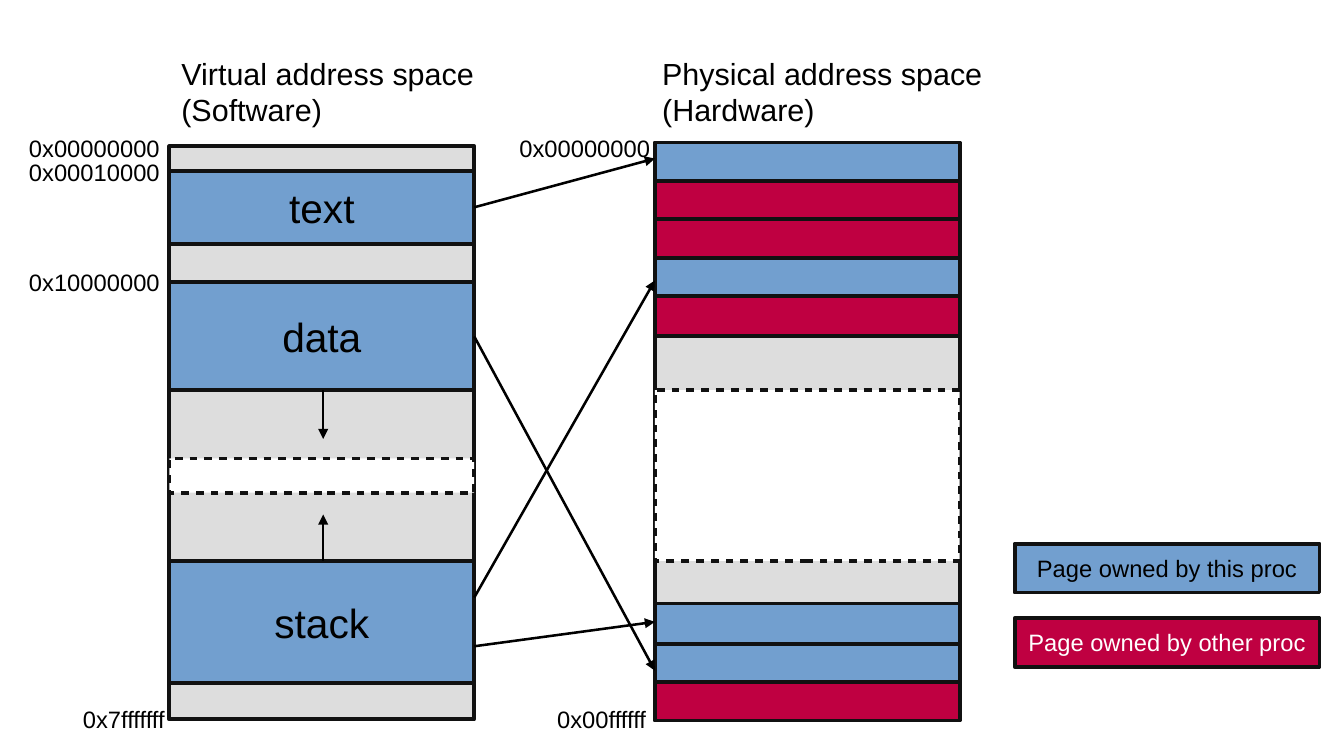
from typing import NamedTuple

from lxml.etree import SubElement
from pptx import Presentation
from pptx.dml.color import RGBColor as RGB
from pptx.enum.shapes import MSO_CONNECTOR as CONN, MSO_SHAPE as SHAPE
from pptx.enum.text import MSO_ANCHOR as ANCHOR, PP_ALIGN as ALIGN
from pptx.oxml.ns import qn
from pptx.util import Pt

COLORS = {
    "free": "DDDDDD", "own": "729FCF", "other": "BF0041",
    "gap": "FFFFFF", "edge": "111111", "black": "000000", "white": "FFFFFF",
}
FONT = "Arial"
BLOCK_W = 180
VIRTUAL_X, PHYSICAL_X, LEGEND_X = 100, 386.6, 599
VIRTUAL_RIGHT = VIRTUAL_X + BLOCK_W
GROWTH_X = 190.8
SPACE_Y, SPACE_H = 86.4, 338.4
PAGE_H, PAGE_STEP = 23.7, 22.7
FIRST_PAGE_Y, LAST_PAGE_Y = 84.2, 401.8


class Block(NamedTuple):
    x: float
    y: float
    h: float
    fill: str
    text: str = ""
    size: float = 24
    color: str = "black"
    dashed: bool = False


class Label(NamedTuple):
    x: float
    y: float
    w: float
    text: str
    size: float = 14


class Arrow(NamedTuple):
    x1: float
    y1: float
    x2: float
    y2: float


def rgb(name: str) -> RGB:
    return RGB.from_string(COLORS[name])


def write(tf, text: str, *, size: float, color: str = "black", align=ALIGN.LEFT,
          anchor=ANCHOR.TOP, wrap: bool = True, inset: tuple = (7.2, 3.6)) -> None:
    tf.word_wrap = wrap
    tf.vertical_anchor = anchor
    tf.margin_left = tf.margin_right = Pt(inset[0])
    tf.margin_top = tf.margin_bottom = Pt(inset[1])
    for i, line in enumerate(text.split("\n")):
        p = tf.add_paragraph() if i else tf.paragraphs[0]
        p.alignment = align
        r = p.add_run()
        r.text = line
        r.font.name, r.font.size = FONT, Pt(size)
        r.font.color.rgb = rgb(color)


def draw_block(shapes, b: Block) -> None:
    sp = shapes.add_shape(SHAPE.RECTANGLE, Pt(b.x), Pt(b.y), Pt(BLOCK_W), Pt(b.h))
    sp.shadow.inherit = False
    sp.fill.solid()
    sp.fill.fore_color.rgb = rgb(b.fill)
    sp.line.color.rgb = rgb(b.edge if hasattr(b, "edge") else "edge")
    sp.line.width = Pt(2.3)
    if b.dashed:
        dash = SubElement(sp.line._get_or_add_ln(), qn("a:custDash"))
        SubElement(dash, qn("a:ds"), d="200000", sp="180000")
    if b.text:
        write(sp.text_frame, b.text, size=b.size, color=b.color, align=ALIGN.CENTER,
              anchor=ANCHOR.MIDDLE, wrap=False, inset=(7.9, 4.3))


def draw_label(shapes, t: Label) -> None:
    h = 47.5 if "\n" in t.text else 23
    sp = shapes.add_textbox(Pt(t.x), Pt(t.y), Pt(t.w), Pt(h))
    write(sp.text_frame, t.text, size=t.size)


def draw_arrow(shapes, a: Arrow) -> None:
    sp = shapes.add_connector(CONN.STRAIGHT, Pt(a.x1), Pt(a.y1), Pt(a.x2), Pt(a.y2))
    sp.line.color.rgb = rgb("black")
    sp.line.width = Pt(1.5)
    SubElement(sp.line._get_or_add_ln(), qn("a:tailEnd"), type="triangle")
    SubElement(sp._element.spPr, qn("a:effectLst"))


# Address spaces, from back to front
virtual = [
    Block(VIRTUAL_X, SPACE_Y, SPACE_H, "free"),
    Block(VIRTUAL_X, 100.8, 43.2, "own", "text"),
    Block(VIRTUAL_X, 166.3, 64, "own", "data"),
    Block(VIRTUAL_X, 331.2, 72, "own", "stack"),
    Block(VIRTUAL_X, 270.7, 20.2, "gap", dashed=True),
]
physical = [
    Block(PHYSICAL_X, SPACE_Y, SPACE_H, "free"),
    Block(PHYSICAL_X, 230.4, 100.8, "gap", dashed=True),
]
# Pages run down from the top and up from the bottom
top_pages = [Block(PHYSICAL_X, FIRST_PAGE_Y + i * PAGE_STEP, PAGE_H, owner)
             for i, owner in enumerate(["own", "other", "other", "own", "other"])]
bottom_pages = [Block(PHYSICAL_X, LAST_PAGE_Y - i * PAGE_STEP, PAGE_H, owner)
                for i, owner in enumerate(["other", "own", "own"])]
legend = [
    Block(LEGEND_X, 321.1, 28.8, "own", "Page owned by this proc", 14),
    Block(LEGEND_X, 365, 28.8, "other", "Page owned by other proc", 14, "white"),
]

# Growth directions, then page mappings
arrows = [
    Arrow(GROWTH_X, 230.4, GROWTH_X, 259.2),
    Arrow(GROWTH_X, 331.2, GROWTH_X, 303.8),
] + [Arrow(VIRTUAL_RIGHT, y1, PHYSICAL_X, y2) for y1, y2 in
     [(122.4, 93.6), (198.7, 396), (352.8, 165.6), (381.6, 367.2)]]

# Titles and addresses
labels = [
    Label(100, 28.8, 187.2, "Virtual address space\n(Software)", 18),
    Label(383.8, 28.8, 213.8, "Physical address space\n(Hardware)", 18),
] + [Label(x, y, 97.2, text) for x, y, text in [
    (10, 75.6, "0x00000000"), (10, 89.6, "0x00010000"), (10, 154.8, "0x10000000"),
    (41.8, 412.6, "0x7fffffff"),
    (299.5, 75.6, "0x00000000"), (321.8, 412.6, "0x00ffffff"),
]]

prs = Presentation()
prs.slide_width, prs.slide_height = Pt(793.4), Pt(446.4)
shapes = prs.slides.add_slide(prs.slide_layouts[6]).shapes
for block in virtual + physical + top_pages + bottom_pages + legend:
    draw_block(shapes, block)
for arrow in arrows:
    draw_arrow(shapes, arrow)
for label in labels:
    draw_label(shapes, label)
prs.save("out.pptx")
